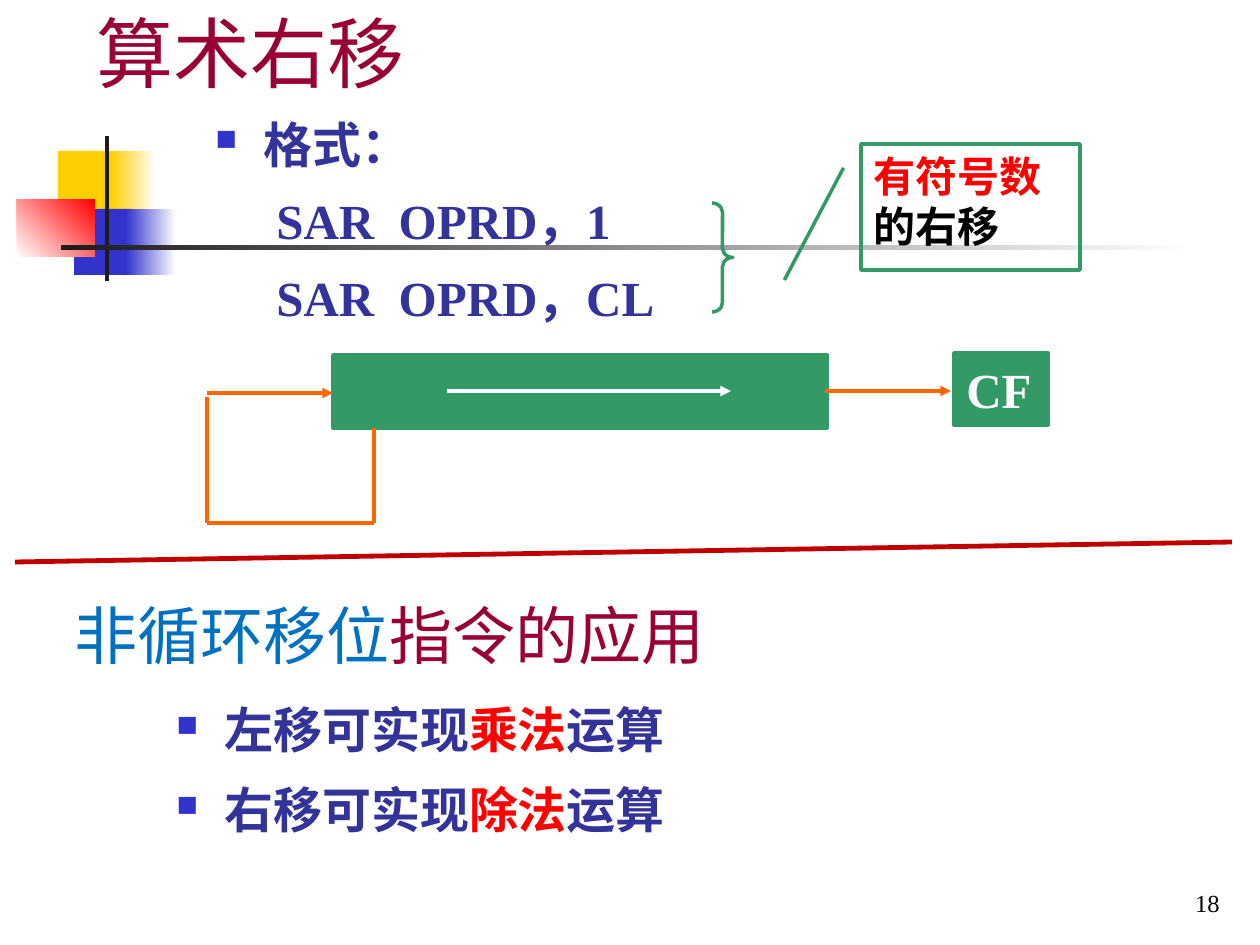
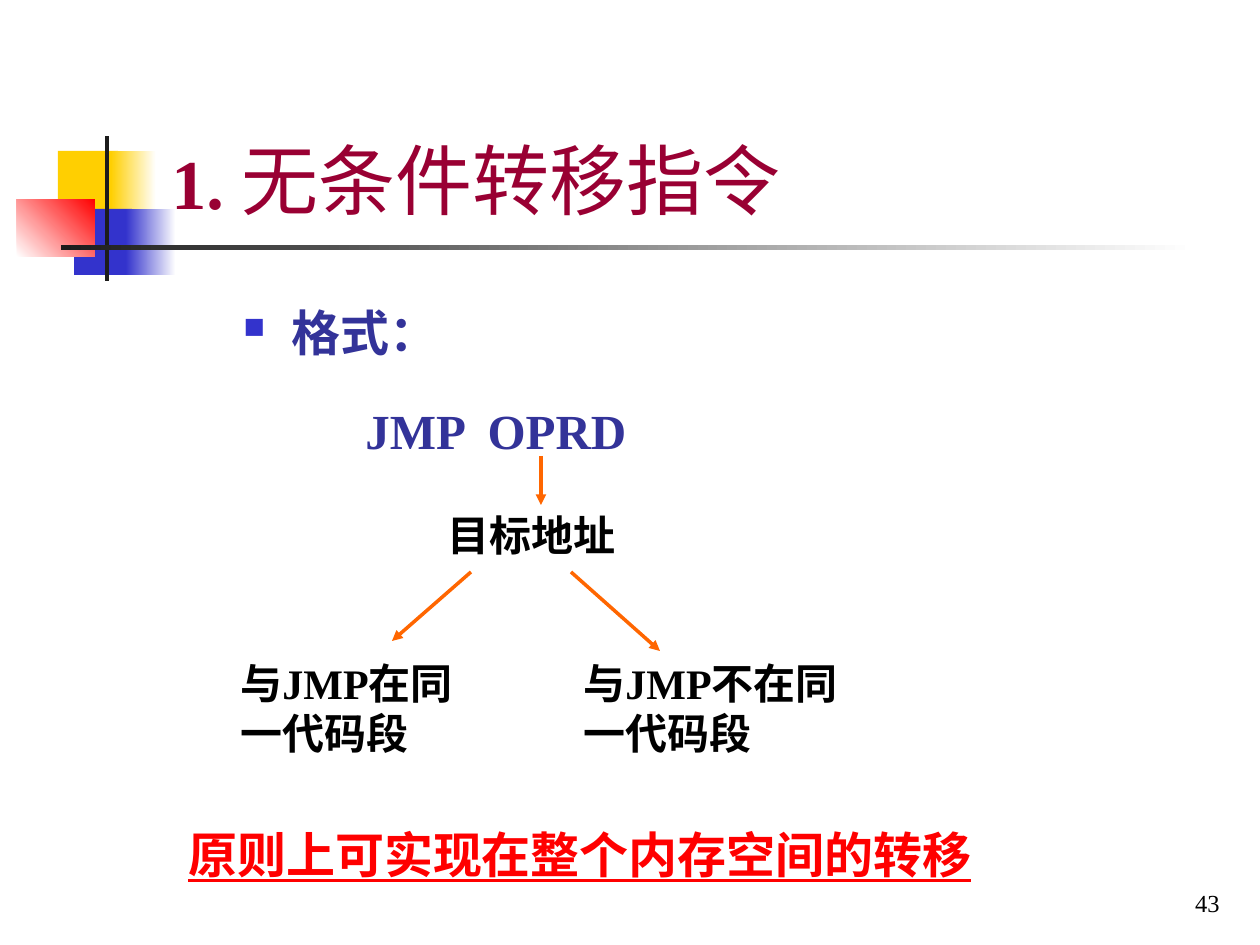
from lxml import etree
from pptx import Presentation
from pptx import util as u
from pptx.dml.color import RGBColor
from pptx.enum import shapes, text
from pptx.oxml import ns

PX = u.Inches(1) / 126
FONT = "Times New Roman"
MAROON, NAVY, BLUE, GREEN = "990033", "333399", "3333CC", "339966"
ORANGE, RED, YELLOW, INK = "FF6600", "FF0000", "FFCF01", "1C1C1C"
BLACK, WHITE = "000000", "FFFFFF"

TITLE = {"size": 44, "color": MAROON}
BODY = {"size": 28, "color": NAVY, "bold": True}
BODY_RED = {**BODY, "color": RED}
LABEL = {"size": 24, "color": BLACK, "bold": True}
SPACED = {"line_spacing": 1.1, "space_before": u.Pt(5.2), "space_after": u.Pt(1.8)}
BULLET_INDENT = 48


def px(length):
    return u.Emu(round(length * PX))


def rgb(value):
    return RGBColor.from_string(value)


def set_attributes(target, values):
    for name, value in values.items():
        setattr(target, name, value)


def add_xml(parent, tag, **attributes):
    return etree.SubElement(parent, ns.qn(tag), attributes)


def add_bullet(paragraph):
    properties = paragraph._p.get_or_add_pPr()
    properties.set("marL", str(px(BULLET_INDENT)))
    properties.set("indent", str(-px(BULLET_INDENT)))
    add_xml(add_xml(properties, "a:buClr"), "a:srgbClr", val=BLUE)
    add_xml(properties, "a:buSzPct", val="60000")
    add_xml(properties, "a:buChar", char="■")


def add_run(paragraph, wording, style):
    run = paragraph.add_run()
    run.text = wording
    values = {"name": FONT, "bold": False, **style}
    values["size"] = u.Pt(values["size"])
    run.font.color.rgb = rgb(values.pop("color"))
    set_attributes(run.font, values)


def line_of(*runs, bullet=False, margin=0, **layout):
    """Describe one paragraph: its (wording, style) runs and its layout."""
    return {"runs": runs, "bullet": bullet, "margin": margin, "layout": layout}


def write(shape, paragraphs, anchor=text.MSO_ANCHOR.TOP, align=text.PP_ALIGN.LEFT):
    frame = shape.text_frame
    set_attributes(frame, {"word_wrap": True, "vertical_anchor": anchor})
    for index, content in enumerate(paragraphs):
        paragraph = frame.add_paragraph() if index else frame.paragraphs[0]
        if content["bullet"]:
            add_bullet(paragraph)
        elif content["margin"]:
            paragraph._p.get_or_add_pPr().set("marL", str(px(content["margin"])))
        layout = {"alignment": align, **content["layout"]}
        if not index:
            layout.pop("space_before", None)
        set_attributes(paragraph, layout)
        for wording, style in content["runs"]:
            add_run(paragraph, wording, style)


def add_text(slide, box, *paragraphs, **placing):
    write(slide.shapes.add_textbox(*map(px, box)), paragraphs, **placing)


def add_heading(slide, box, *runs):
    add_text(slide, box, line_of(*runs), anchor=text.MSO_ANCHOR.BOTTOM)


def add_shape(slide, kind, box, fill=None, line=None, adjustments=()):
    shape = slide.shapes.add_shape(kind, *map(px, box))
    shape.shadow.inherit = False
    for index, value in enumerate(adjustments):
        shape.adjustments[index] = value
    if fill:
        shape.fill.solid()
        shape.fill.fore_color.rgb = rgb(fill)
    else:
        shape.fill.background()
    if line:
        shape.line.color.rgb = rgb(line)
        shape.line.width = u.Pt(2)
    else:
        shape.line.fill.background()
    return shape


def add_rectangle(slide, box, fill=None, line=None):
    return add_shape(slide, shapes.MSO_SHAPE.RECTANGLE, box, fill, line)


def add_fade(slide, box, start, end, angle=0):
    fill = add_rectangle(slide, box).fill
    fill.gradient()
    fill.gradient_angle = angle
    for stop, color in zip(fill.gradient_stops, (start, end)):
        stop.color.rgb = rgb(color)


def add_line(slide, start, end, color=ORANGE, width=2, arrow=False):
    connector = slide.shapes.add_connector(
        shapes.MSO_CONNECTOR.STRAIGHT, *map(px, start + end))
    connector.line.color.rgb = rgb(color)
    connector.line.width = u.Pt(width)
    if arrow:
        add_xml(connector.line._get_or_add_ln(), "a:tailEnd", type="triangle")
    add_xml(connector._element.spPr, "a:effectLst")


def add_base_slide(presentation, number):
    """Add a blank slide with the coloured squares, the rule and its number."""
    slide = presentation.slides.add_slide(presentation.slide_layouts[6])
    add_rectangle(slide, (58, 151, 60, 66), YELLOW)
    add_fade(slide, (111, 151, 45, 66), YELLOW, WHITE)
    add_rectangle(slide, (74, 209, 58, 66), BLUE)
    add_fade(slide, (126, 209, 50, 66), BLUE, WHITE)
    add_fade(slide, (17, 199, 78, 58), WHITE, RED, angle=45)
    add_rectangle(slide, (105, 136, 4, 145), INK)
    add_fade(slide, (61, 245, 1134, 5), INK, WHITE)
    add_text(slide, (970, 861, 262, 63),
             line_of((str(number), {"size": 14, "color": BLACK})),
             anchor=text.MSO_ANCHOR.BOTTOM, align=text.PP_ALIGN.RIGHT)
    return slide


def add_shift_diagram(slide):
    add_rectangle(slide, (333, 355, 494, 73), GREEN, GREEN)
    add_line(slide, (447, 391), (731, 391), WHITE, arrow=True)
    add_line(slide, (825, 391), (951, 391), arrow=True)
    add_line(slide, (207, 393), (333, 393), arrow=True)
    carry_flag = add_rectangle(slide, (954, 353, 94, 72), GREEN, GREEN)
    write(carry_flag, [line_of(("CF", {**BODY, "color": WHITE}))])
    sign_loop = [(207, 397), (207, 523), (374, 523), (374, 428)]
    for start, end in zip(sign_loop, sign_loop[1:]):
        add_line(slide, start, end)


def build_arithmetic_shift(presentation):
    slide = add_base_slide(presentation, 18)
    add_heading(slide, (84, 10, 1074, 94), ("算术右移", TITLE))
    add_text(slide, (203, 102, 1071, 273),
             line_of(("格式：", BODY), bullet=True, **SPACED),
             *(line_of((f"SAR  OPRD，{count}", BODY), margin=61, **SPACED)
               for count in ("1", "CL")))
    add_shape(slide, shapes.MSO_SHAPE.RIGHT_BRACE, (712, 203, 21, 109),
              line=GREEN, adjustments=(0.44, 0.5))
    callout = add_shape(slide, shapes.MSO_SHAPE.LINE_CALLOUT_1, (861, 144, 219, 126),
                        line=GREEN, adjustments=(0.19, -0.08, 1.08, -0.35))
    write(callout, [line_of(("有符号数", {**LABEL, "color": RED}), ("的右移", LABEL))])
    add_shift_diagram(slide)
    add_line(slide, (15, 562), (1232, 542), "C00000", 2.75)
    add_heading(slide, (62, 572, 1074, 106),
                ("非循环移位", {"size": 36, "color": "0070C0"}),
                ("指令的应用", {**TITLE, "size": 36}))
    uses = [("左移", "乘法"), ("右移", "除法")]
    add_text(slide, (164, 685, 1023, 255),
             *(line_of((f"{shift}可实现", BODY), (operation, BODY_RED), ("运算", BODY),
                       bullet=True, **{**SPACED, "line_spacing": 1.15})
               for shift, operation in uses))


def build_unconditional_jump(presentation):
    slide = add_base_slide(presentation, 43)
    add_heading(slide, (159, 29, 1074, 202),
                ("1. ", {**TITLE, "size": 40, "bold": True}), ("无条件转移指令", TITLE))
    add_text(slide, (231, 290, 717, 203),
             line_of(("格式：", BODY), bullet=True, **SPACED),
             line_of(("JMP  OPRD", BODY), margin=122, line_spacing=1.1,
                     space_before=u.Pt(17.5), space_after=u.Pt(3.5)))
    labels = [
        ((435, 503, 231, 63), "目标地址"),
        ((228, 651, 273, 113), "与JMP在同一代码段"),
        ((571, 651, 294, 113), "与JMP不在同一代码段"),
    ]
    for box, wording in labels:
        add_text(slide, box, line_of((wording, LABEL)))
    arrows = [((541, 456), (541, 505)), ((471, 572), (392, 641)), ((571, 572), (660, 651))]
    for start, end in arrows:
        add_line(slide, start, end, arrow=True)
    add_text(slide, (176, 818, 840, 72),
             line_of(("原则上可实现在整个内存空间的转移", {**BODY_RED, "underline": True})))


def main():
    presentation = Presentation()
    set_attributes(presentation, {"slide_width": px(1260), "slide_height": px(945)})
    build_arithmetic_shift(presentation)
    build_unconditional_jump(presentation)
    presentation.save("out.pptx")


if __name__ == "__main__":
    main()
